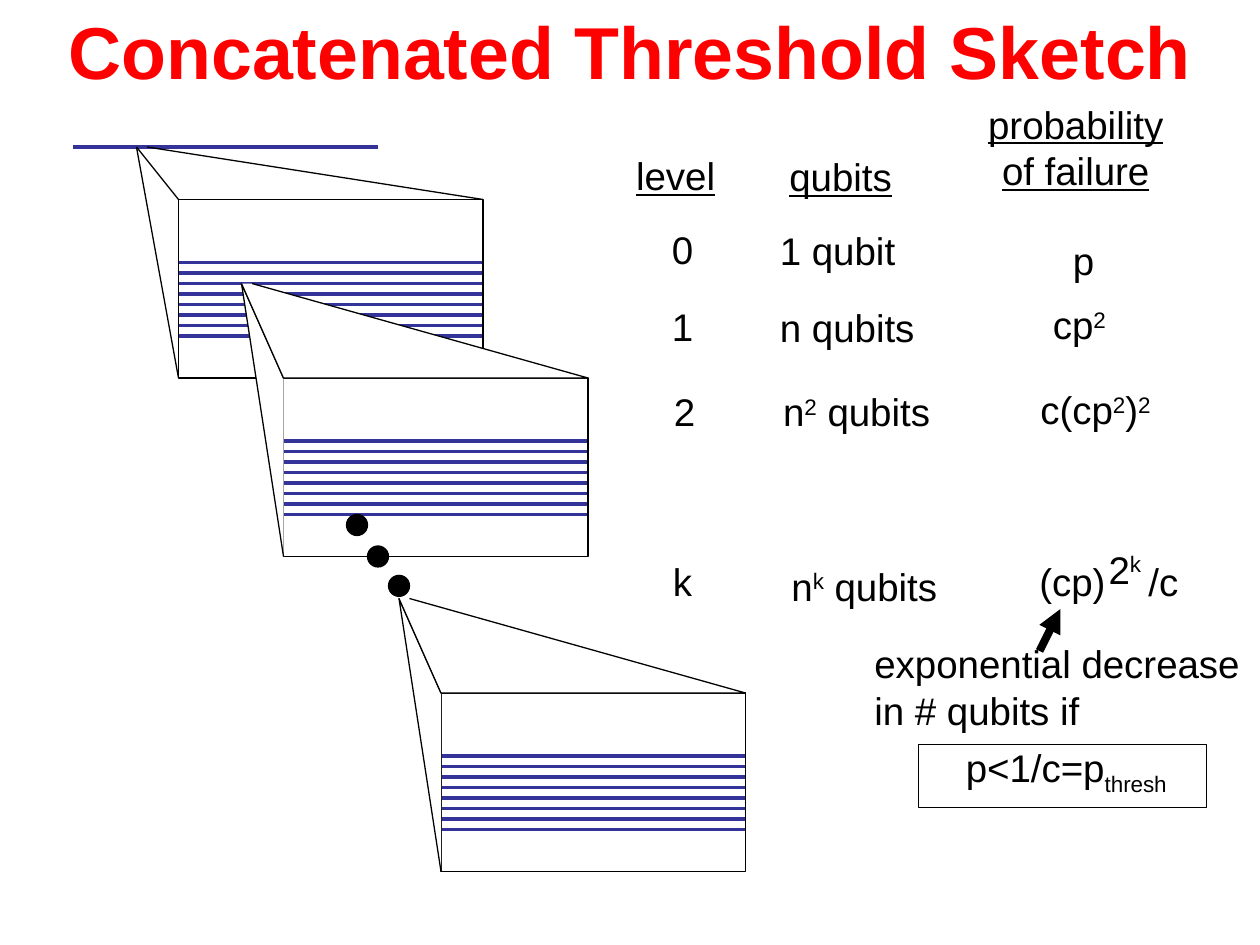
import pptx
import pptx.dml.color
import pptx.enum.shapes
import pptx.enum.text
import pptx.oxml
import pptx.util
from lxml import etree

SHAPE = pptx.enum.shapes.MSO_SHAPE
ALIGN = pptx.enum.text.PP_ALIGN
BLACK, WHITE, RED, BLUE = "000000", "FFFFFF", "FF0000", "333399"
COLUMNS, ROWS = 120, 90


def color(value):
    return pptx.dml.color.RGBColor.from_string(value)


class Sketch:
    font = "Arial"
    size = 22
    thin = 0.75

    def __init__(self, prs):
        self.column = prs.slide_width / COLUMNS
        self.row = prs.slide_height / ROWS
        self.s = prs.slides.add_slide(prs.slide_layouts[6])

    def x(self, columns):
        return round(columns * self.column)

    def y(self, rows):
        return round(rows * self.row)

    def paint(self, sp, fill):
        sp.shadow.inherit = False
        if fill:
            sp.fill.solid()
            sp.fill.fore_color.rgb = color(fill)
        else:
            sp.fill.background()
        sp.line.color.rgb = color(BLACK)
        sp.line.width = pptx.util.Pt(self.thin)

    def shape(self, kind, left, top, width, height, fill=None):
        sp = self.s.shapes.add_shape(
            kind, self.x(left), self.y(top), self.x(width), self.y(height))
        self.paint(sp, fill)

    def outline(self, points, fill):
        points = [(self.x(a), self.y(b)) for a, b in points]
        builder = self.s.shapes.build_freeform(*points[0])
        builder.add_line_segments(points[1:], close=False)
        self.paint(builder.convert_to_shape(), fill)

    def line(self, start, end, stroke=BLACK, width=thin, arrow=False):
        sp = self.s.shapes.add_connector(
            pptx.enum.shapes.MSO_CONNECTOR.STRAIGHT,
            self.x(start[0]), self.y(start[1]), self.x(end[0]), self.y(end[1]))
        sp.line.color.rgb = color(stroke)
        sp.line.width = pptx.util.Pt(width)
        if arrow:
            tail = etree.SubElement(sp.line._get_or_add_ln(), pptx.oxml.ns.qn("a:tailEnd"))
            tail.set("type", "triangle")
        etree.SubElement(sp._element.spPr, pptx.oxml.ns.qn("a:effectLst"))

    def text(self, left, top, width, *paragraphs, height=None, size=size, fill=BLACK,
             bold=False, underline=False, align=ALIGN.LEFT, wrap=False,
             shift=30, tab=None):
        height = height or 1.2 + 4.44 * len(paragraphs)
        sp = self.s.shapes.add_textbox(
            self.x(left), self.y(top), self.x(width), self.y(height))
        tf = sp.text_frame
        tf.word_wrap = wrap
        tf.auto_size = pptx.enum.text.MSO_AUTO_SIZE.SHAPE_TO_FIT_TEXT
        for i, runs in enumerate(paragraphs):
            p = tf.add_paragraph() if i else tf.paragraphs[0]
            p.alignment = align
            if tab:
                tabs = etree.SubElement(p._p.get_or_add_pPr(), pptx.oxml.ns.qn("a:tabLst"))
                stop = etree.SubElement(tabs, pptx.oxml.ns.qn("a:tab"))
                stop.set("pos", str(self.x(tab)))
                stop.set("algn", "l")
            for j, part in enumerate(runs):
                r = p.add_run()
                r.text = part
                r.font.name = self.font
                r.font.size = pptx.util.Pt(size)
                r.font.color.rgb = color(fill)
                r.font.bold = bold
                r.font.underline = underline
                if j % 2:
                    r._r.get_or_add_rPr().set("baseline", str(shift * 1000))

    def wire(self, left, top):
        self.line((left, top), (left + 29, top), BLUE, 2.25)

    def block(self, left, top):
        for i in range(8):
            self.wire(left, top + 6 + i)
        self.shape(SHAPE.RECTANGLE, left, top, 29, 17)

    def zoomed_block(self, left, top):
        self.block(left, top)
        corner, apex = (left, top), (left - 4, top - 9)
        self.outline([corner, apex, (left, top + 17)], WHITE)
        self.outline([apex, corner, (left + 29, top), (left - 3, top - 9)], WHITE)


def main():
    prs = pptx.Presentation()
    prs.slide_width = pptx.util.Inches(10)
    prs.slide_height = pptx.util.Inches(7.5)
    sketch = Sketch(prs)

    sketch.text(0, 0, COLUMNS, ["Concatenated Threshold Sketch"], height=9.6, size=42,
                fill=RED, bold=True, align=ALIGN.CENTER, wrap=True)

    sketch.wire(7, 14)
    sketch.block(17, 19)
    for start, end in [((17, 19), (13, 14)), ((14, 14), (46, 19)), ((13, 14), (17, 36))]:
        sketch.line(start, end)
    sketch.zoomed_block(27, 36)
    sketch.zoomed_block(42, 66)
    for left, top in [(37, 54.8), (35, 52), (33, 49)]:
        sketch.shape(SHAPE.OVAL, left, top, 2, 2, BLACK)

    sketch.text(59.4, 13.9, 9.9, ["level"], underline=True)
    sketch.text(74, 14, 12.2, ["qubits"], underline=True)
    sketch.text(92.9, 9, 19.1, ["probability"], ["of failure"],
                underline=True, align=ALIGN.CENTER)

    cells = [
        (62.8, 20.9, 4.5, ["0"]),
        (73.1, 21, 13.4, ["1 qubit"]),
        (101, 22, 4.5, ["p"]),
        (62.8, 28.3, 4.5, ["1"]),
        (73.1, 28.4, 15.3, ["n qubits"]),
        (99.1, 28.1, 7.5, ["cp", "2"]),
        (63, 36.4, 4.5, ["2"]),
        (73.4, 36.4, 16.4, ["n", "2", " qubits"]),
        (97.9, 36.2, 12.9, ["c(cp", "2", ")", "2"]),
        (62.9, 52.6, 4.3, ["k"]),
        (74.2, 53, 16.3, ["n", "k", " qubits"]),
        (104.4, 51.4, 5.6, ["2", "k"]),
    ]
    for cell in cells:
        sketch.text(*cell)
    sketch.text(97.8, 52.6, 16.5, ["(cp)\t/c"], tab=10.4, wrap=True)

    sketch.text(82.1, 60.4, 37.2, ["exponential decrease"], ["in # qubits if"])
    sketch.text(90.8, 70.3, 21.5, ["p<1/c=p", "thresh"], height=6.2, shift=-25)
    sketch.shape(SHAPE.RECTANGLE, 87.5, 70.9, 27.4, 6)
    sketch.line((99, 62), (101, 58), width=4.5, arrow=True)

    prs.save("out.pptx")


if __name__ == "__main__":
    main()
